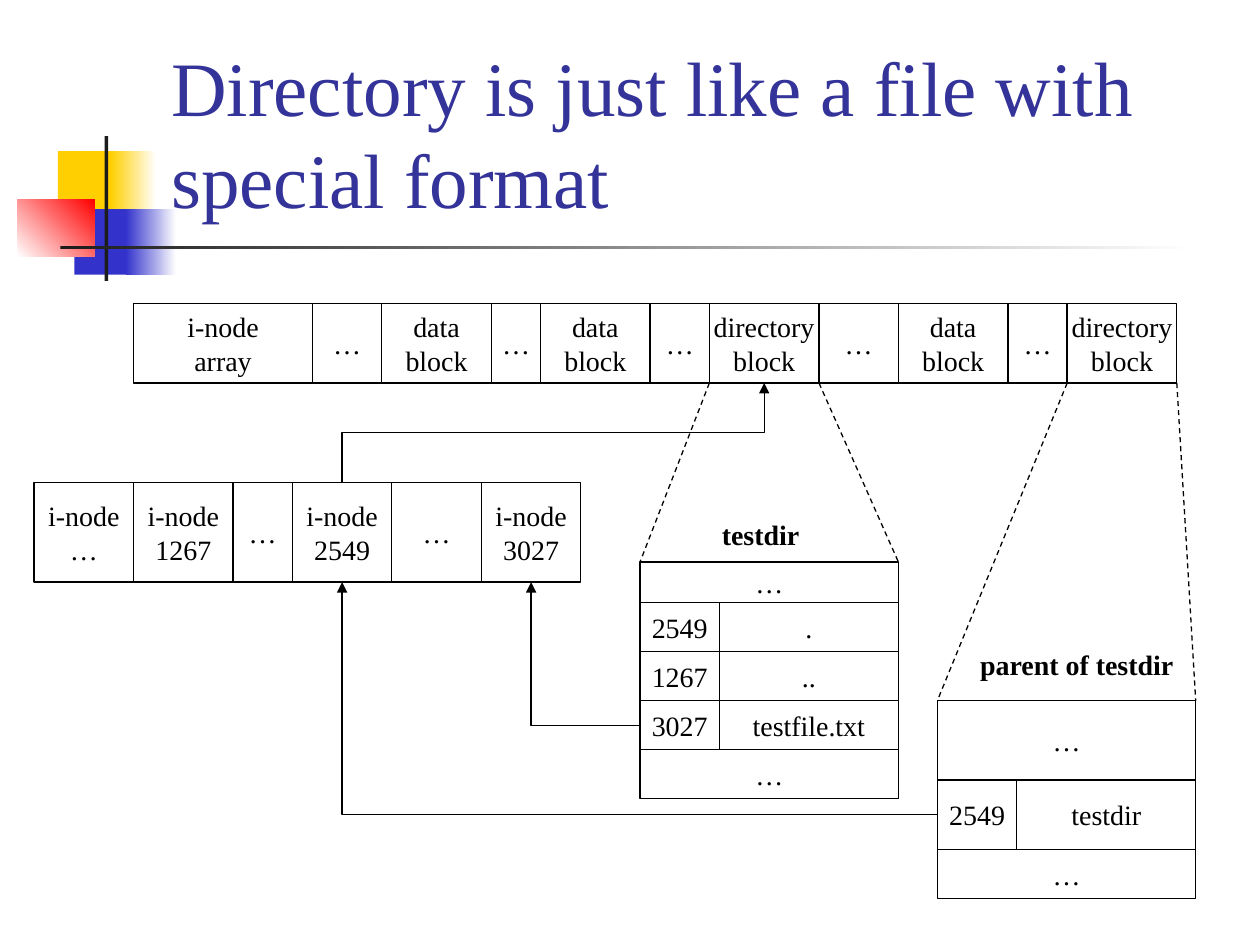
from lxml.etree import SubElement
from pptx import Presentation
from pptx.dml.color import RGBColor
from pptx.enum.dml import MSO_LINE
from pptx.enum.shapes import MSO_CONNECTOR, MSO_SHAPE
from pptx.enum.text import MSO_ANCHOR, MSO_AUTO_SIZE, PP_ALIGN
from pptx.oxml.ns import qn
from pptx.util import Inches, Pt

FONT = "Times New Roman"
COLORS = {
    "yellow": "FFCF01", "blue": "3333CC", "red": "FF0000", "dark": "1C1C1C",
    "white": "FFFFFF", "title": "333399", "ink": "000000",
}


def format_text(frame, size, color, align, bold=False):
    for paragraph in frame.paragraphs:
        paragraph.alignment = align
        paragraph.font.name = FONT
        paragraph.font.size = Pt(size)
        paragraph.font.bold = bold
        paragraph.font.color.rgb = RGBColor.from_string(COLORS[color])


def add_line(kind, x1, y1, x2, y2):
    """Add a thin black connector without a shadow."""
    connector = slide.shapes.add_connector(kind, x1, y1, x2, y2)
    connector.line.color.rgb = RGBColor.from_string(COLORS["ink"])
    connector.line.width = Pt(0.75)
    SubElement(connector._element.spPr, qn("a:effectLst"))
    return connector


prs = Presentation()
prs.slide_width, prs.slide_height = Inches(10), Inches(7.5)
slide = prs.slides.add_slide(prs.slide_layouts[5])

# Ornament: left, top, width, height, colours (two make a gradient), angle
ornament = [
    (0.46, 1.2, 0.48, 0.52, ["yellow"], 0),
    (0.88, 1.2, 0.36, 0.52, ["yellow", "white"], 0),
    (0.59, 1.66, 0.46, 0.52, ["blue"], 0),
    (1, 1.66, 0.4, 0.52, ["blue", "white"], 0),
    (0.14, 1.58, 0.61, 0.46, ["white", "red"], 45),
    (0.83, 1.08, 0.03, 1.15, ["dark"], 0),
    (0.48, 1.95, 9, 0.03, ["dark", "white"], 0),
]
for *box, names, angle in ornament:
    patch = slide.shapes.add_shape(MSO_SHAPE.RECTANGLE, *map(Inches, box))
    patch.shadow.inherit = False
    patch.line.fill.background()
    if len(names) == 1:
        patch.fill.solid()
        patch.fill.fore_color.rgb = RGBColor.from_string(COLORS[names[0]])
    else:
        patch.fill.gradient()
        patch.fill.gradient_angle = angle
        for stop, name in zip(patch.fill.gradient_stops, names):
            stop.color.rgb = RGBColor.from_string(COLORS[name])

title = slide.shapes.title
title.left, title.top = Inches(1.26), Inches(0.23)
title.width, title.height = Inches(8.52), Inches(1.6)
title.text_frame.text = "Directory is just like a file with special format"
title.text_frame.vertical_anchor = MSO_ANCHOR.BOTTOM
title.text_frame.word_wrap = True
title.text_frame.auto_size = MSO_AUTO_SIZE.NONE
format_text(title.text_frame, 44, "title", PP_ALIGN.LEFT)
slide.shapes._spTree.append(title._element)  # in front of the ornament

# Every band of cells: left, top, height, [(text, width), ...]
data, directory = ("data\nblock", 0.87), ("directory\nblock", 0.87)
bands = {
    "disk": (1.06, 2.41, 0.63, [
        ("i-node\narray", 1.42), ("…", 0.55), data, ("…", 0.39), data, ("…", 0.47),
        directory, ("…", 0.63), data, ("…", 0.47), directory]),
    "inodes": (0.27, 3.83, 0.79, [
        ("i-node\n…", 0.79), ("i-node\n1267", 0.79), ("…", 0.47),
        ("i-node\n2549", 0.79), ("…", 0.71), ("i-node\n3027", 0.79)]),
}
directories = {
    "testdir": (5.08, 4.46, [
        (0.32, ["…"]), (0.39, ["2549", "."]), (0.39, ["1267", ".."]),
        (0.39, ["3027", "testfile.txt"]), (0.39, ["…"])]),
    "parent": (7.44, 5.56, [
        (0.63, ["…"]), (0.55, ["2549", "testdir"]), (0.39, ["…"])]),
}
for name, (left, top, rows) in directories.items():
    for number, (height, texts) in enumerate(rows):
        widths = [0.63, 1.42] if len(texts) == 2 else [2.05]
        bands[name, number] = (left, top, height, list(zip(texts, widths)))
        top += height

cells = {}
for name, (left, top, height, entries) in bands.items():
    cells[name] = []
    for text, width in entries:
        cell = slide.shapes.add_shape(
            MSO_SHAPE.RECTANGLE, Inches(left), Inches(top), Inches(width), Inches(height))
        cell.shadow.inherit = False
        cell.fill.background()
        cell.line.color.rgb = RGBColor.from_string(COLORS["ink"])
        cell.line.width = Pt(0.75)
        cell.text_frame.text = text
        cell.text_frame.word_wrap = False
        cell.text_frame.vertical_anchor = MSO_ANCHOR.MIDDLE
        format_text(cell.text_frame, 16, "ink", PP_ALIGN.CENTER)
        cells[name].append(cell)
        left += width

# Dashed lines open each directory block into its listing
testdir_block, parent_block = cells["disk"][6], cells["disk"][10]
for block, name in [(testdir_block, "testdir"), (parent_block, "parent")]:
    listing = cells[name, 0][0]
    for side in (0, 1):
        edge = add_line(
            MSO_CONNECTOR.STRAIGHT,
            block.left + side * block.width, block.top + block.height,
            listing.left + side * listing.width, listing.top)
        edge.line.dash_style = MSO_LINE.DASH

for text, left, top, width in [
        ("testdir", 5.63, 4.06, 0.85), ("parent of testdir", 7.68, 5.09, 1.78)]:
    label = slide.shapes.add_textbox(Inches(left), Inches(top), Inches(width), Inches(0.37))
    label.text_frame.text = text
    label.text_frame.word_wrap = False
    label.text_frame.auto_size = MSO_AUTO_SIZE.SHAPE_TO_FIT_TEXT
    format_text(label.text_frame, 16, "ink", PP_ALIGN.LEFT, bold=True)

# Elbow arrows: unrotated box, preset, turn in degrees, flipped both ways
inode_2549, inode_3027 = cells["inodes"][3], cells["inodes"][5]
elbows = []
for entry, inode in [(cells["testdir", 3][0], inode_3027), (cells["parent", 1][0], inode_2549)]:
    x = inode.left + inode.width // 2
    y = inode.top + inode.height
    elbows.append((x, y, entry.left, entry.top + entry.height // 2,
                   "bentConnector2", 180, False))
start_x = inode_2549.left + inode_2549.width // 2
end_x = testdir_block.left + testdir_block.width // 2
end_y = testdir_block.top + testdir_block.height
run, rise = end_x - start_x, inode_2549.top - end_y
center_x, center_y = start_x + run // 2, end_y + rise // 2
elbows.append((center_x - rise // 2, center_y - run // 2,
               center_x + rise // 2, center_y + run // 2, "bentConnector3", 90, True))

for x1, y1, x2, y2, preset, turn, flipped in elbows:
    arrow = add_line(MSO_CONNECTOR.ELBOW, x1, y1, x2, y2)
    properties = arrow._element.spPr
    properties.find(qn("a:prstGeom")).set("prst", preset)
    frame = properties.find(qn("a:xfrm"))
    frame.set("rot", str(turn * 60000))
    if flipped:
        frame.set("flipH", "1")
        frame.set("flipV", "1")
    SubElement(properties.find(qn("a:ln")), qn("a:tailEnd"), type="triangle")

prs.save("out.pptx")
